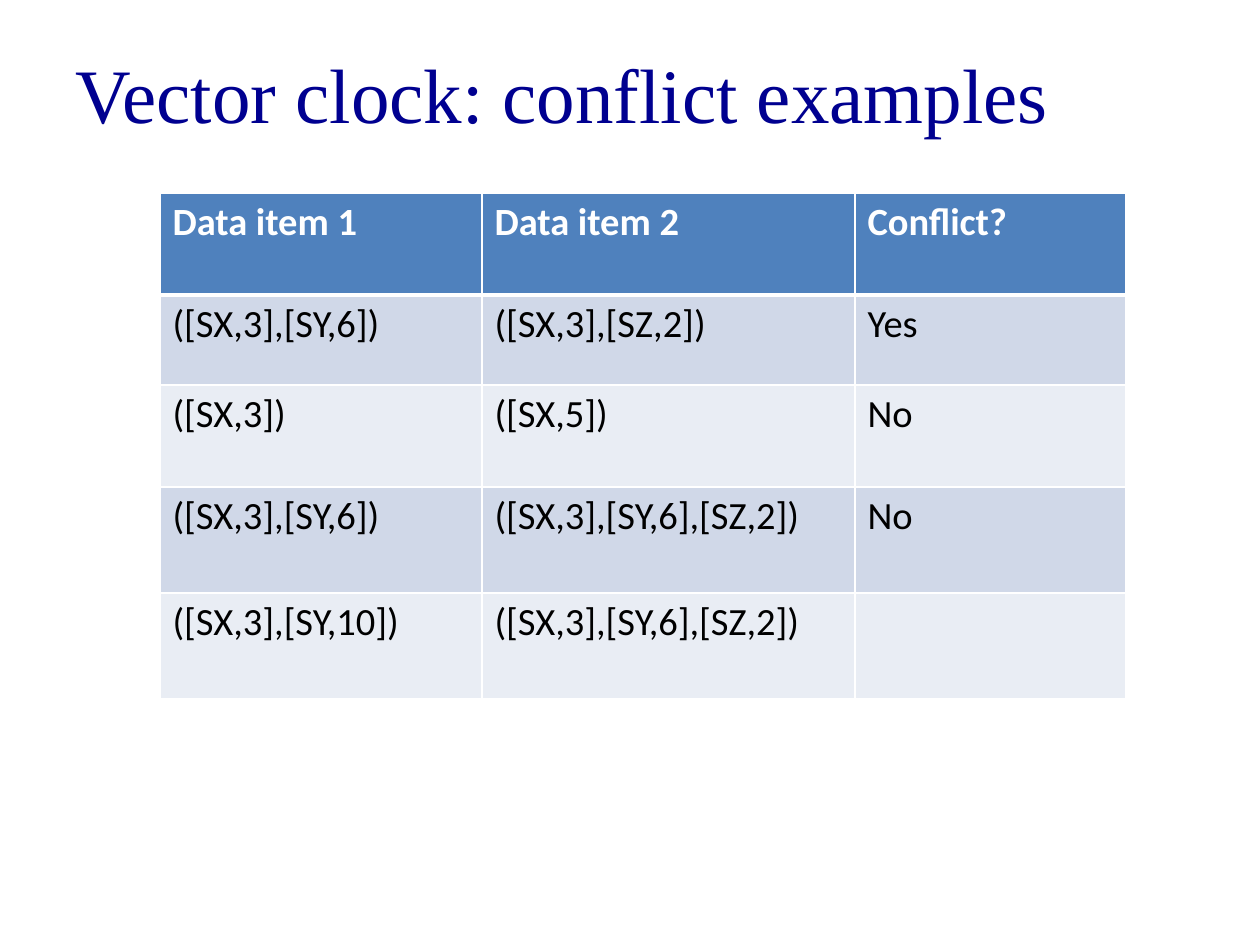
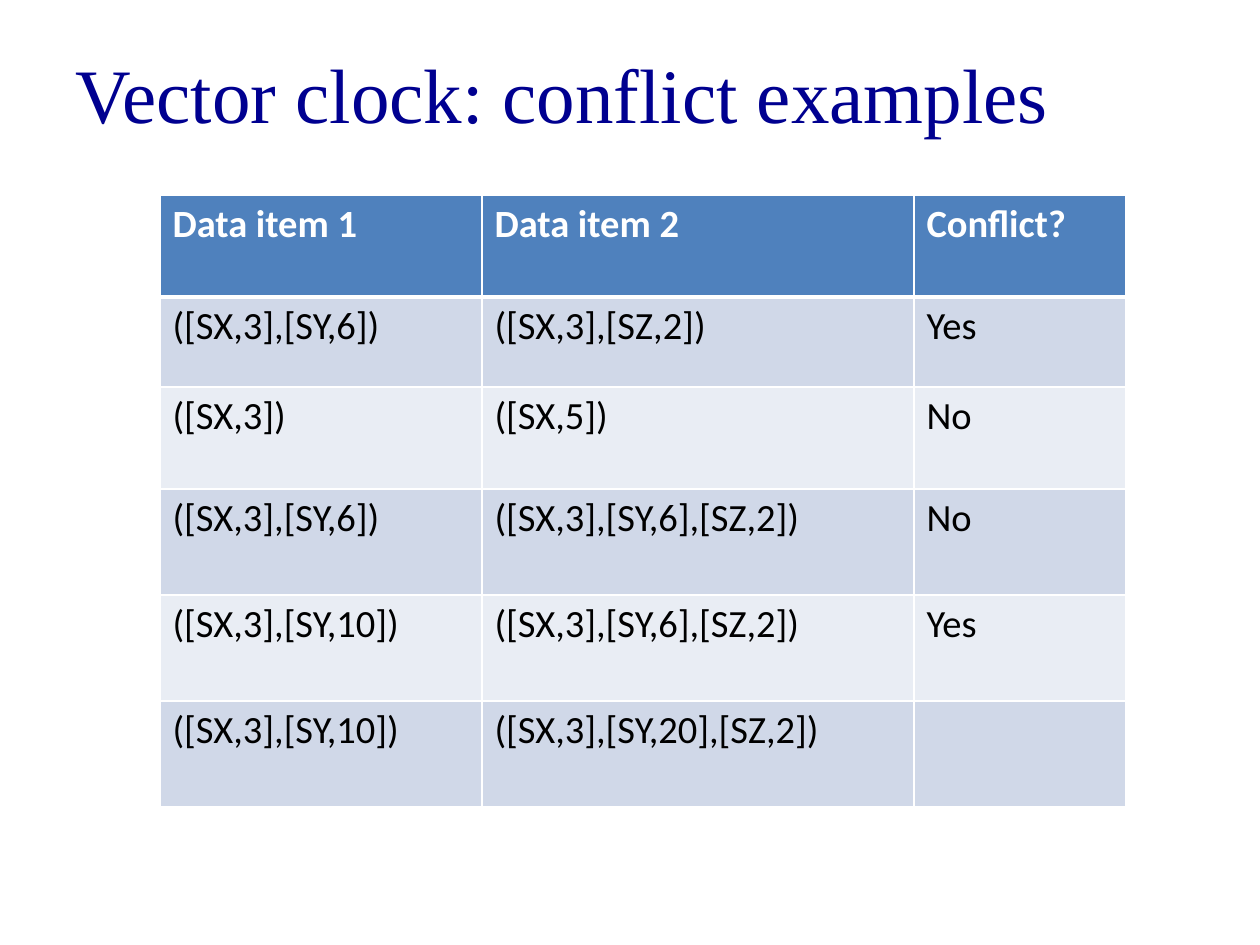
from dataclasses import dataclass

from pptx import Presentation
from pptx import util as u
from pptx.dml.color import RGBColor
from pptx.enum import text
from pptx.oxml import parse_xml
from pptx.oxml.ns import nsdecls

PX_PER_INCH = 126


@dataclass(frozen=True)
class Theme:
    """Colours, fonts and type sizes of the slides."""
    title: str = "000090"
    header: str = "4F81BD"
    bands: tuple = ("D0D8E8", "E9EDF4")
    light: str = "FFFFFF"
    dark: str = "000000"
    title_font: str = "Times New Roman"
    body_font: str = "Calibri"
    title_size: int = 44
    body_size: int = 22
    thin: int = 1
    thick: int = 3


THEME = Theme()
TITLE = "Vector clock: conflict examples"
TITLE_BOX = (63, 14, 1134, 158)
HEADINGS = ("Data item 1", "Data item 2", "Conflict?")
PAIRS = (
    ("([SX,3],[SY,6])", "([SX,3],[SZ,2])"),
    ("([SX,3])", "([SX,5])"),
    ("([SX,3],[SY,6])", "([SX,3],[SY,6],[SZ,2])"),
    ("([SX,3],[SY,10])", "([SX,3],[SY,6],[SZ,2])"),
    ("([SX,3],[SY,10])", "([SX,3],[SY,20],[SZ,2])"),
)
ANSWERS = ("Yes", "No", "No", "Yes")
ROW_HEIGHTS = (102, 90, 102, 106, 106, 106)
SLIDES = (
    {"answered": 3, "origin": (160, 193), "widths": (322, 373, 271)},
    {"answered": 4, "origin": (160, 195), "widths": (322, 432, 212)},
)


def px(n):
    """Turn pixels into EMU."""
    return u.Emu(round(n * 914400 / PX_PER_INCH))


def set_font(font, color, **values):
    """Apply a colour and a set of format values to a font."""
    font.color.rgb = RGBColor.from_string(color)
    for name, value in values.items():
        setattr(font, name, value)


def add_title(s, box):
    """Place and format the title placeholder."""
    sp = s.shapes.title
    for name, value in zip(("left", "top", "width", "height"), box):
        setattr(sp, name, px(value))
    tf = sp.text_frame
    tf.text = TITLE
    for name, value in {"word_wrap": True, "auto_size": text.MSO_AUTO_SIZE.NONE,
                        "vertical_anchor": text.MSO_ANCHOR.MIDDLE}.items():
        setattr(tf, name, value)
    p = tf.paragraphs[0]
    p.alignment = text.PP_ALIGN.LEFT
    set_font(p.runs[0].font, THEME.title, name=THEME.title_font,
             size=u.Pt(THEME.title_size))


def set_borders(cell, top, bottom):
    """Draw the four cell borders, with the given top and bottom weights."""
    weights = {"L": THEME.thin, "R": THEME.thin, "T": top, "B": bottom}
    props = cell._tc.get_or_add_tcPr()
    for i, (side, weight) in enumerate(weights.items()):
        props.insert(i, parse_xml(
            f'<a:ln{side} {nsdecls("a")} w="{u.Pt(weight)}"><a:solidFill>'
            f'<a:srgbClr val="{THEME.light}"/></a:solidFill></a:ln{side}>'))


def fill_cell(cell, words, row):
    """Write and format one cell according to its row."""
    is_header = row == 0
    fill = THEME.header if is_header else THEME.bands[(row - 1) % 2]
    cell.fill.solid()
    cell.fill.fore_color.rgb = RGBColor.from_string(fill)
    set_borders(cell, THEME.thick if row == 1 else THEME.thin,
                THEME.thick if is_header else THEME.thin)
    if words:
        r = cell.text_frame.paragraphs[0].add_run()
        r.text = words
        set_font(r.font, THEME.light if is_header else THEME.dark,
                 name=THEME.body_font, size=u.Pt(THEME.body_size), bold=is_header)


def add_conflict_table(s, origin, widths, rows):
    """Build the table of clock pairs at the given origin."""
    heights = ROW_HEIGHTS[:len(rows)]
    left, top = origin
    table = s.shapes.add_table(len(rows), len(widths), px(left), px(top),
                               px(sum(widths)), px(sum(heights))).table
    for column, width in zip(table.columns, widths):
        column.width = px(width)
    for i, (row, height) in enumerate(zip(table.rows, heights)):
        row.height = px(height)
        for cell, words in zip(row.cells, rows[i]):
            fill_cell(cell, words, i)


def add_example_slide(prs, answered, origin, widths):
    """Add a slide of answered examples followed by one open example."""
    s = prs.slides.add_slide(prs.slide_layouts[5])
    add_title(s, TITLE_BOX)
    answers = (*ANSWERS[:answered], "")
    rows = [(*pair, answer) for pair, answer in zip(PAIRS, answers)]
    add_conflict_table(s, origin, widths, [HEADINGS, *rows])


def main():
    """Build and save the presentation."""
    prs = Presentation()
    prs.slide_width, prs.slide_height = px(1260), px(945)
    for settings in SLIDES:
        add_example_slide(prs, **settings)
    prs.save("out.pptx")


if __name__ == "__main__":
    main()
